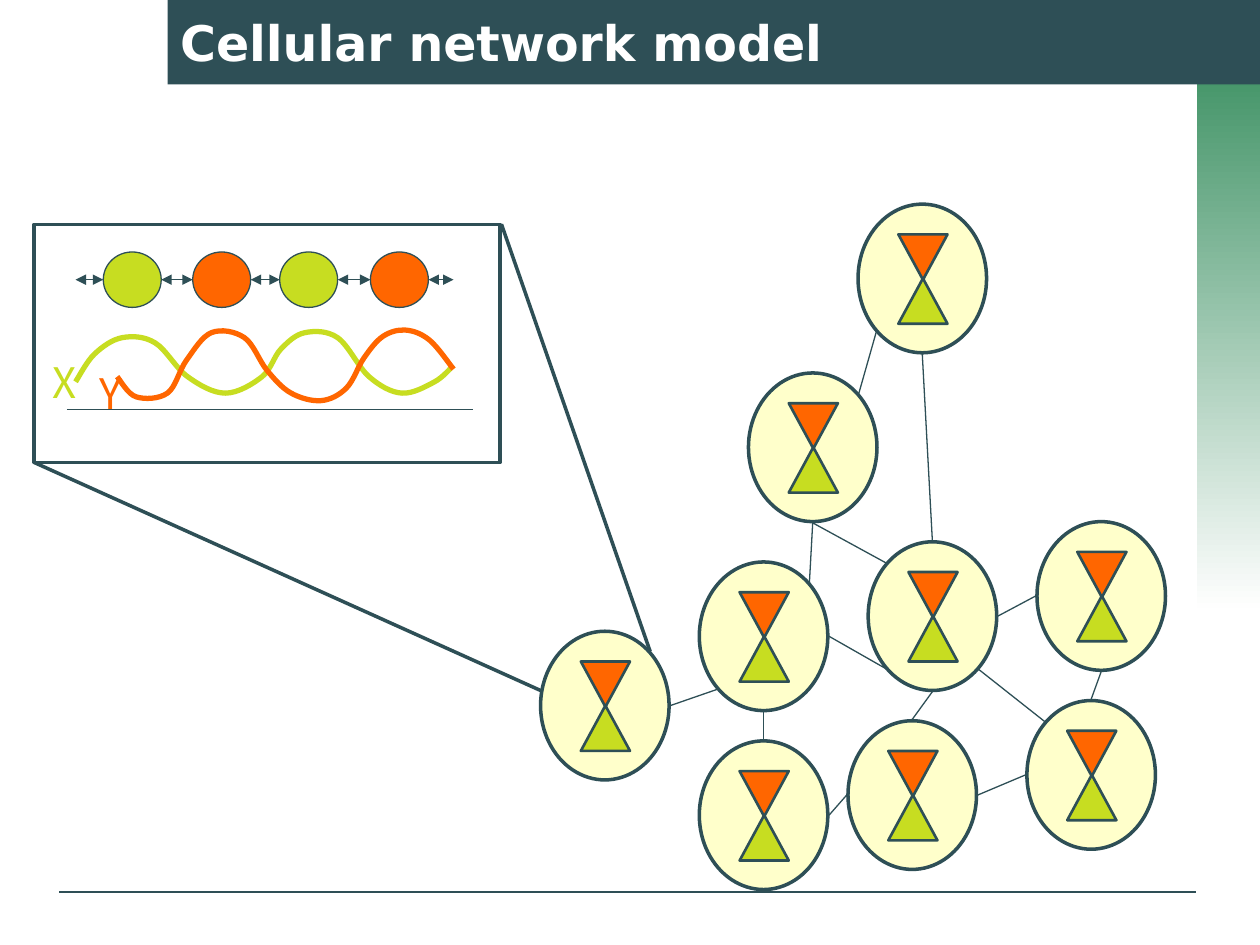
import pptx
import pptx.util
from lxml import etree
from pptx.dml.color import RGBColor
from pptx.enum.shapes import MSO_CONNECTOR, MSO_SHAPE
from pptx.enum.text import MSO_ANCHOR, MSO_AUTO_SIZE, PP_ALIGN
from pptx.oxml.ns import qn
from pptx.util import Inches, Pt

# Content
TITLE = "Cellular network model"
DARK, LIME, ORANGE, CREAM = "2E4F56", "C7DD21", "FF6600", "FFFF99"

BEADS = [(0.82, LIME), (1.53, ORANGE), (2.22, LIME), (2.94, ORANGE)]
BEAD_TOP, BEAD_W, BEAD_H = 2.0, 0.46, 0.44
CHAIN_START, CHAIN_END = 0.6, 3.6

WAVES = [
    ("X", LIME, (0.42, 2.9),
     [(0.6, 3.03), (0.75, 2.81), (0.97, 2.68), (1.23, 2.72), (1.49, 2.99),
      (1.79, 3.12), (2.08, 2.99), (2.23, 2.77), (2.42, 2.64), (2.68, 2.68),
      (2.93, 2.99), (3.19, 3.12), (3.45, 3.03), (3.6, 2.9)]),
    ("Y", ORANGE, (0.79, 2.99),
     [(0.93, 2.99), (1.08, 3.15), (1.33, 3.12), (1.48, 2.86), (1.68, 2.64),
      (1.94, 2.68), (2.12, 2.94), (2.31, 3.12), (2.55, 3.18), (2.75, 3.08),
      (2.89, 2.84), (3.04, 2.67), (3.22, 2.62), (3.41, 2.7), (3.6, 2.93)]),
]

# Network cells (left, top) and the links between points on their rims
CELLS = {
    "zoomed": (4.29, 5.01), "bottom": (5.55, 5.88), "west": (5.55, 4.46),
    "hub": (6.89, 4.3), "south": (6.73, 5.72), "southeast": (8.15, 5.56),
    "east": (8.23, 4.14), "northwest": (5.94, 2.96), "top": (6.81, 1.62),
}
CELL_W, CELL_H = 1.02, 1.18
LINKS = [
    ("zoomed", "E", "west", "SW"), ("northwest", "S", "west", "NE"),
    ("northwest", "S", "hub", "NW"), ("top", "SW", "northwest", "NE"),
    ("top", "S", "hub", "N"), ("hub", "E", "east", "W"),
    ("west", "E", "hub", "SW"), ("west", "S", "bottom", "N"),
    ("bottom", "E", "south", "W"), ("hub", "S", "south", "N"),
    ("south", "E", "southeast", "W"), ("hub", "SE", "southeast", "NW"),
    ("east", "S", "southeast", "N"),
]


def rgb(color):
    return RGBColor.from_string(color)


def add_shape(parent, kind, box, fill=None, line=None, width=0.75):
    shape = parent.shapes.add_shape(kind, *map(Inches, box))
    shape.shadow.inherit = False
    if fill:
        shape.fill.solid()
        shape.fill.fore_color.rgb = rgb(fill)
    else:
        shape.fill.background()
    if line:
        shape.line.color.rgb = rgb(line)
        shape.line.width = Pt(width)
    else:
        shape.line.fill.background()
    return shape


def add_line(parent, start, end, width=0.75, arrows=False):
    line = parent.shapes.add_connector(
        MSO_CONNECTOR.STRAIGHT, *map(Inches, (*start, *end)))
    line.line.color.rgb = rgb(DARK)
    line.line.width = Pt(width)
    if arrows:
        outline = line.line._get_or_add_ln()
        for tag in ("a:headEnd", "a:tailEnd"):
            etree.SubElement(outline, qn(tag), type="triangle")
    etree.SubElement(line._element.spPr, qn("a:effectLst"))


def smooth(freeform):
    """Turn straight segments into Bezier curves through the same knots."""
    points = [(int(pt.get("x")), int(pt.get("y")))
              for pt in freeform._element.iter(qn("a:pt"))]
    padded = [points[0], *points, points[-1]]
    segments = list(freeform._element.iter(qn("a:lnTo")))
    for segment, p0, p1, p2, p3 in zip(segments, padded, padded[1:],
                                       padded[2:], padded[3:]):
        leave = [b + (c - a) / 6 for a, b, c in zip(p0, p1, p2)]
        arrive = [c - (d - b) / 6 for b, c, d in zip(p1, p2, p3)]
        curve = etree.Element(qn("a:cubicBezTo"))
        for x, y in (leave, arrive, p2):
            etree.SubElement(curve, qn("a:pt"), x=str(round(x)), y=str(round(y)))
        segment.getparent().replace(segment, curve)


def add_wave(parent, knots, color):
    points = [(Inches(x), Inches(y)) for x, y in knots]
    builder = parent.shapes.build_freeform(*points[0])
    builder.add_line_segments(points[1:], close=False)
    wave = builder.convert_to_shape()
    smooth(wave)
    wave.shadow.inherit = False
    wave.fill.background()
    wave.line.color.rgb = rgb(color)
    wave.line.width = Pt(3)


def add_label(parent, text, color, corner):
    label = parent.shapes.add_textbox(*map(Inches, (*corner, 0.14, 0.26)))
    frame = label.text_frame
    frame.word_wrap = False
    frame.margin_left = frame.margin_right = 0
    frame.vertical_anchor = MSO_ANCHOR.MIDDLE
    frame.text = text
    frame.paragraphs[0].alignment = PP_ALIGN.CENTER
    font = frame.paragraphs[0].font
    font.name, font.size = "Noto Sans CJK KR", Pt(24)
    font.color.rgb = rgb(color)


def add_cell(slide, left, top):
    cell = slide.shapes.add_group_shape()
    body = add_shape(cell, MSO_SHAPE.OVAL, (left, top, CELL_W, CELL_H),
                     CREAM, DARK, 2)
    tint = body._element.spPr.find(".//" + qn("a:srgbClr"))
    etree.SubElement(tint, qn("a:alpha"), val="50000")
    for drop, color, turn in ((0.59, LIME, 0), (0.24, ORANGE, 180)):
        half = add_shape(cell, MSO_SHAPE.ISOSCELES_TRIANGLE,
                         (left + 0.32, top + drop, 0.39, 0.36), color, DARK, 1.5)
        half.rotation = turn


def rim_point(cell, side):
    """Point just outside a cell's rim in a compass direction."""
    left, top = CELLS[cell]
    dx = ("E" in side) - ("W" in side)
    dy = ("S" in side) - ("N" in side)
    reach = 0.7 if dx and dy else 1
    return (left + CELL_W / 2 + dx * reach * (CELL_W / 2 + 0.01),
            top + CELL_H / 2 + dy * reach * (CELL_H / 2 + 0.01))


def main():
    deck = pptx.Presentation()
    deck.slide_width, deck.slide_height = Inches(10), Inches(7.5)
    slide = deck.slides.add_slide(deck.slide_layouts[5])

    # Title bar
    title = slide.shapes.title
    title.left, title.top, title.width, title.height = map(
        Inches, (1.33, 0, 8.67, 0.67))
    title.fill.solid()
    title.fill.fore_color.rgb = rgb(DARK)
    frame = title.text_frame
    frame.text = TITLE
    frame.auto_size = MSO_AUTO_SIZE.NONE
    frame.vertical_anchor = MSO_ANCHOR.MIDDLE
    heading = frame.paragraphs[0]
    heading.alignment = PP_ALIGN.LEFT
    heading.font.name, heading.font.size = "DejaVu Sans", Pt(28)
    heading.font.bold = True
    heading.font.color.rgb = rgb("FFFFFF")

    # Side band and footer rule
    band = add_shape(slide, MSO_SHAPE.RECTANGLE, (9.5, 0.5, 0.5, 4.33))
    band.fill.gradient()
    band.fill.gradient_angle = 270
    for stop, position, color in zip(band.fill.gradient_stops, (0, 1),
                                     ("419366", "FEFEFE")):
        stop.position = position
        stop.color.rgb = rgb(color)
    # The band runs behind the title bar
    slide.shapes._spTree.insert(2, band._element)
    add_line(slide, (0.47, 7.08), (9.49, 7.08))

    # Oscillator chain: beads with arrows across the gaps
    chain = slide.shapes.add_group_shape()
    for left, color in BEADS:
        add_shape(chain, MSO_SHAPE.OVAL, (left, BEAD_TOP, BEAD_W, BEAD_H),
                  color, DARK)
    middle = BEAD_TOP + BEAD_H / 2
    gap_starts = [CHAIN_START] + [left + BEAD_W for left, _ in BEADS]
    gap_ends = [left for left, _ in BEADS] + [CHAIN_END]
    for start, end in zip(gap_starts, gap_ends):
        add_line(chain, (start, middle), (end, middle), arrows=True)

    # Waves over their axis
    add_line(chain, (0.53, 3.25), (3.75, 3.25))
    for _, color, _, knots in WAVES:
        add_wave(chain, knots, color)
    for text, color, corner, _ in WAVES:
        add_label(chain, text, color, corner)

    # Zoom frame
    add_shape(slide, MSO_SHAPE.RECTANGLE, (0.27, 1.78, 3.7, 1.89),
              line=DARK, width=2)
    add_line(slide, (0.27, 3.67), (4.29, 5.48), 2)
    add_line(slide, (3.98, 1.78), (5.16, 5.17), 2)

    # Network
    for left, top in CELLS.values():
        add_cell(slide, left, top)
    for cell, side, other, other_side in LINKS:
        add_line(slide, rim_point(cell, side), rim_point(other, other_side))

    deck.save("out.pptx")


if __name__ == "__main__":
    main()
